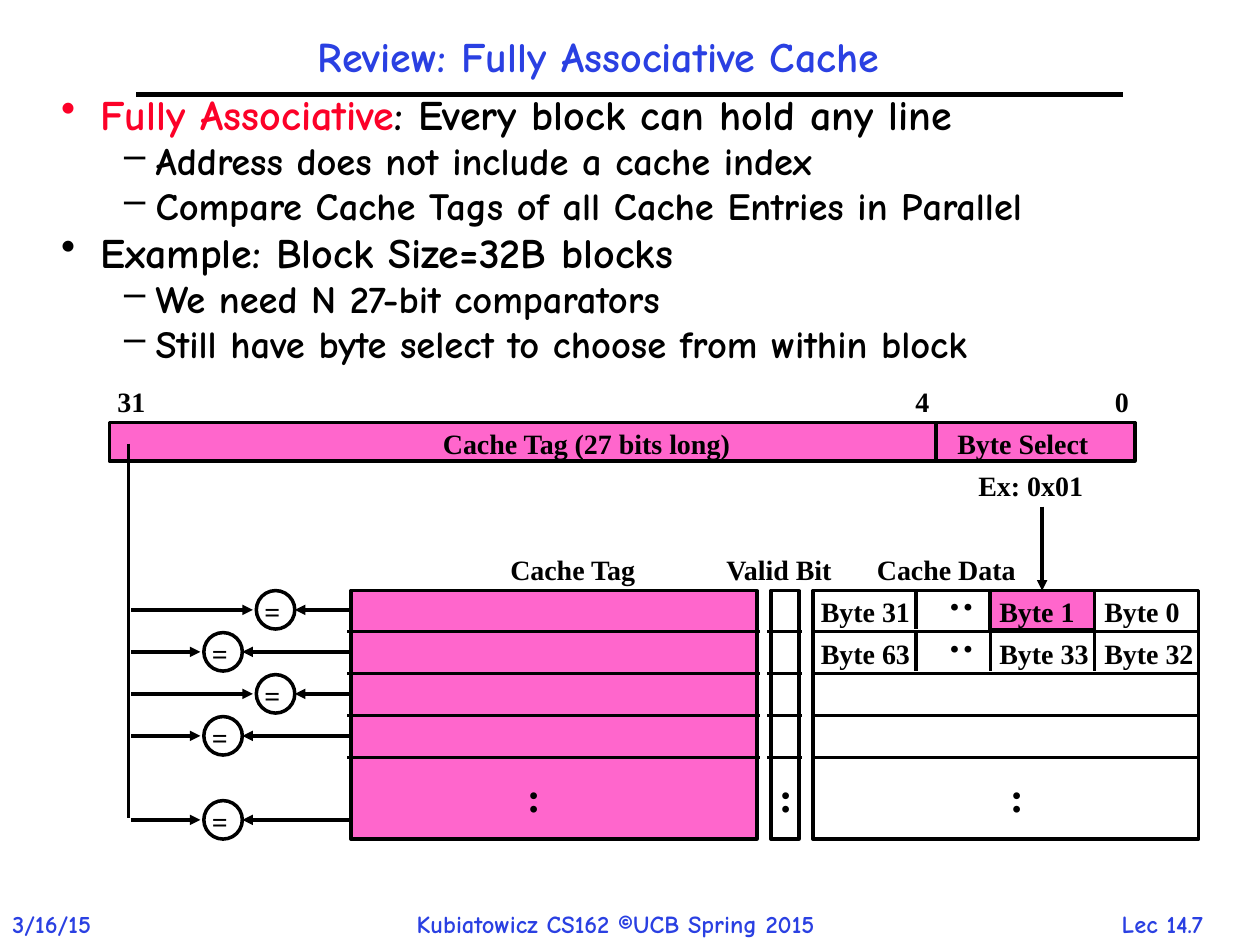
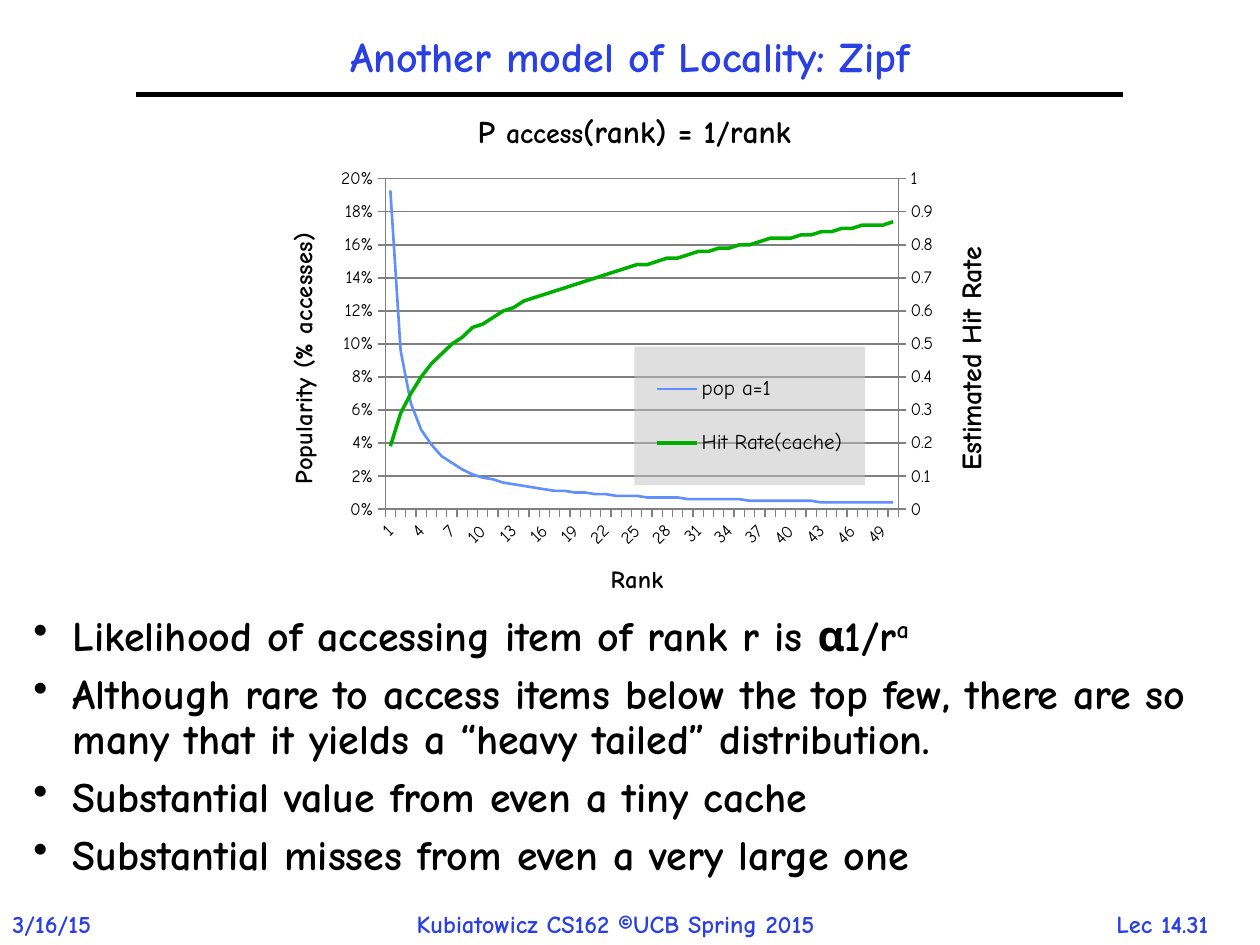
from copy import deepcopy
from dataclasses import dataclass
from itertools import accumulate

from lxml import etree
from pptx import Presentation
from pptx import util as u
from pptx.chart import axis as axes
from pptx.chart import data as chart_data
from pptx.dml.color import RGBColor
from pptx.enum import chart as charts
from pptx.enum import shapes, text
from pptx.oxml import parse_xml
from pptx.oxml.ns import nsdecls, qn

Pt = u.Pt


@dataclass(frozen=True)
class Theme:
    """Colours, fonts and type sizes of the deck."""
    blue: str = "2A40E2"
    red: str = "FC0128"
    pink: str = "FF66CC"
    black: str = "000000"
    grid: str = "808080"
    popularity: str = "618FFD"
    hit_rate: str = "00AE00"
    main_font: str = "Comic Neue"
    diagram_font: str = "Times New Roman"
    heading: int = 24
    sub: int = 22
    label: int = 16
    footer: int = 14
    ticks: int = 10
    legend: int = 12
    chart_title: int = 18


def apply(target, **values):
    for name, value in values.items():
        setattr(target, name, value)


def add_xml(parent, tag, **attributes):
    return etree.SubElement(parent, qn(tag), attributes)


def manual_layout(x, y, w, h, inner=False):
    layout = etree.Element(qn("c:layout"))
    manual = add_xml(layout, "c:manualLayout")
    if inner:
        add_xml(manual, "c:layoutTarget", val="inner")
    for side in "xy":
        add_xml(manual, f"c:{side}Mode", val="edge")
    for side, value in zip("xywh", (x, y, w, h)):
        add_xml(manual, f"c:{side}", val=str(value))
    return layout


class Painter:
    """Holds the theme and the current page; one method per kind of element."""

    def __init__(self, deck, theme):
        self.deck, self.theme, self.page = deck, theme, None

    def new_page(self, heading, center, number):
        t = self.theme
        self.page = self.deck.slides.add_slide(self.deck.slide_layouts[6])
        self.line(78, 54, 642, 54, width=3)
        footer = dict(size=t.footer, font=t.main_font, color=t.blue)
        self.label("3/16/15", 0, 516, 72, **footer)
        self.label("Kubiatowicz CS162 ©UCB Spring 2015", 231, 516, 279, **footer)
        self.label(number, 616.5, 516, 95.5, center=True, **footer)
        box = self.label(heading, center - 270, 17, 540, size=t.heading,
                         font=t.main_font, color=t.blue, center=True)
        box.text_frame.paragraphs[0].line_spacing = 0.9

    def style(self, font, size, color=None, name=None, bold=True):
        apply(font, size=Pt(size), name=name or self.theme.main_font, bold=bold)
        font.color.rgb = RGBColor.from_string(color or self.theme.black)

    def span(self, para, words, size, color=None, name=None):
        span = para.add_run()
        span.text = words
        self.style(span.font, size, color, name)
        return span

    def label(self, words, left, top, width, size=None, font=None, color=None,
              center=False, rotation=0):
        size = size or self.theme.label
        height = round(size * 1.2 + 7)
        box = self.page.shapes.add_textbox(Pt(left), Pt(top), Pt(width), Pt(height))
        box.rotation = rotation
        apply(box.text_frame, word_wrap=False,
              auto_size=text.MSO_AUTO_SIZE.SHAPE_TO_FIT_TEXT)
        para = box.text_frame.paragraphs[0]
        if center:
            para.alignment = text.PP_ALIGN.CENTER
        self.span(para, words, size, color, font or self.theme.diagram_font)
        return box

    def shape(self, left, top, width, height, fill=None,
              kind=shapes.MSO_SHAPE.RECTANGLE):
        box = self.page.shapes.add_shape(kind, Pt(left), Pt(top), Pt(width), Pt(height))
        box.shadow.inherit = False
        if fill:
            box.fill.solid()
            box.fill.fore_color.rgb = RGBColor.from_string(fill)
        else:
            box.fill.background()
        self.stroke(box.line, self.theme.black, 2)
        return box

    def stroke(self, line, color, width):
        line.width = Pt(width)
        line.color.rgb = RGBColor.from_string(color)

    def line(self, x1, y1, x2, y2, width=2, arrow=False):
        line = self.page.shapes.add_connector(
            shapes.MSO_CONNECTOR.STRAIGHT, Pt(x1), Pt(y1), Pt(x2), Pt(y2))
        self.stroke(line.line, self.theme.black, width)
        if arrow:
            add_xml(line.line._get_or_add_ln(), "a:tailEnd", type="triangle")
        add_xml(line._element.spPr, "a:effectLst")
        return line

    def bullets(self, items, left, top, width, height, spacing, before, insets):
        """Items are (level, [(words, color, raised), ...])."""
        box = self.page.shapes.add_textbox(Pt(left), Pt(top), Pt(width), Pt(height))
        frame = box.text_frame
        across, down = map(Pt, insets)
        apply(frame, word_wrap=True, margin_left=across, margin_right=across,
              margin_top=down, margin_bottom=down)
        # Level defaults keep each bullet in step with its text
        levels = frame._txBody.find(qn("a:lstStyle"))
        for number, size in enumerate((self.theme.heading, self.theme.sub), 1):
            default = add_xml(add_xml(levels, f"a:lvl{number}pPr"), "a:defRPr",
                              sz=str(size * 100), b="1")
            add_xml(default, "a:latin", typeface=self.theme.main_font)
        for i, (level, spans) in enumerate(items):
            para = frame.add_paragraph() if i else frame.paragraphs[0]
            size = self.theme.sub if level else self.theme.heading
            indent, hang, mark = ((54, 18, "–") if level else (22.5, 22.5, "•"))
            apply(para, level=level, line_spacing=spacing,
                  space_before=Pt(size * before if i else 0))
            props = para._p.get_or_add_pPr()
            props.set("marL", str(Pt(indent)))
            props.set("indent", str(-Pt(hang)))
            add_xml(props, "a:buChar", char=mark)
            for words, color, raised in spans:
                span = self.span(para, words, size, color)
                if raised:
                    span.font._element.set("baseline", "30000")

    def axis(self, axis, title, size, upright=False):
        apply(axis, has_title=True, major_tick_mark=charts.XL_TICK_MARK.OUTSIDE,
              minor_tick_mark=charts.XL_TICK_MARK.NONE)
        self.stroke(axis.format.line, self.theme.grid, 0.75)
        self.style(axis.tick_labels.font, self.theme.ticks, bold=False)
        frame = axis.axis_title.text_frame
        frame.clear()
        self.span(frame.paragraphs[0], title, size)
        if upright:
            frame._txBody.bodyPr.set("rot", "-5400000")

    def value_axis(self, axis, title, size, top, unit, number_format):
        self.axis(axis, title, size, upright=True)
        apply(axis, minimum_scale=0, maximum_scale=top, major_unit=unit)
        apply(axis.tick_labels, number_format=number_format,
              number_format_is_linked=False)

    def right_axis(self, chart):
        """Moves the last series to a second pair of axes; returns its value axis."""
        plot = chart.plots[0]._element
        second = deepcopy(plot)
        plot.remove(plot.findall(qn("c:ser"))[1])
        second.remove(second.findall(qn("c:ser"))[0])
        plot.addnext(second)
        ids = ("5001", "5002")
        for node, new_id in zip(second.findall(qn("c:axId")), ids):
            node.set("val", new_id)
        category = deepcopy(chart.category_axis._element)
        value = deepcopy(chart.value_axis._element)
        for node, own, other in ((category, *ids), (value, *ids[::-1])):
            node.find(qn("c:axId")).set("val", own)
            node.find(qn("c:crossAx")).set("val", other)
        chart.value_axis._element.addnext(value)
        value.addnext(category)
        value.find(qn("c:axPos")).set("val", "r")
        value.find(qn("c:crosses")).set("val", "max")
        apply(axes.CategoryAxis(category), has_title=False, visible=False)
        return axes.ValueAxis(value)

    def zipf_chart(self, left, top, width, height, categories, series):
        """Series are (name, values, color, line width)."""
        t = self.theme
        data = chart_data.CategoryChartData()
        data.categories = categories
        for name, values, _, _ in series:
            data.add_series(name, values)
        chart = self.page.shapes.add_chart(
            charts.XL_CHART_TYPE.LINE, Pt(left), Pt(top), Pt(width), Pt(height), data).chart
        self.style(chart.font, t.ticks, bold=False)
        chart.plots[0].vary_by_categories = False
        for line, (_, _, color, weight) in zip(chart.series, series):
            line.smooth = False
            line.marker.style = charts.XL_MARKER_STYLE.NONE
            self.stroke(line.format.line, color, weight)

        # Title
        chart.has_title = True
        para = chart.chart_title.text_frame.paragraphs[0]
        for words, size in (("P ", t.chart_title), ("access", t.label),
                            ("(rank) = 1/rank", t.chart_title)):
            self.span(para, words, size)

        # Axes
        ranks, values = chart.category_axis, chart.value_axis
        self.axis(ranks, "Rank", t.footer)
        ranks._element.txPr.bodyPr.set("rot", "-2700000")
        last = ranks._element.find(qn("c:noMultiLvlLbl"))
        for tag, step in (("c:tickLblSkip", 3), ("c:tickMarkSkip", 1)):
            node = etree.Element(qn(tag), val=str(step))
            last.addprevious(node)
        if values._element.find(qn("c:crossBetween")) is None:
            between = etree.Element(qn("c:crossBetween"), val="between")
            values._element.find(qn("c:crosses")).addnext(between)
        right = self.right_axis(chart)
        self.value_axis(values, "Popularity (% accesses)", t.footer, 0.2, 0.02, "0%")
        self.value_axis(right, "Estimated Hit Rate", t.label, 1, 0.1, "General")
        right.has_major_gridlines = False
        self.stroke(values.major_gridlines.format.line, t.grid, 0.75)

        # Plot area and legend
        area = chart._chartSpace.chart.plotArea
        for old in area.findall(qn("c:layout")):
            area.remove(old)
        area.insert(0, manual_layout(0.165, 0.165, 0.69, 0.62, inner=True))
        chart.has_legend = True
        apply(chart.legend, position=charts.XL_LEGEND_POSITION.RIGHT,
              include_in_layout=True)
        self.style(chart.legend.font, t.legend, bold=False)
        overlay = chart.legend._element.find(qn("c:overlay"))
        overlay.addprevious(manual_layout(0.5, 0.48, 0.31, 0.26))
        overlay.addnext(parse_xml(
            f'<c:spPr {nsdecls("c", "a")}><a:solidFill><a:srgbClr val="C0C0C0">'
            '<a:alpha val="50000"/></a:srgbClr></a:solidFill></c:spPr>'))


def cache_page(paint):
    t = paint.theme
    paint.new_page("Review: Fully Associative Cache", 342, "Lec 14.7")
    paint.bullets([
        (0, [("Fully Associative", t.red, False),
             (": Every block can hold any line", None, False)]),
        (1, [("Address does not include a cache index", None, False)]),
        (1, [("Compare Cache Tags of all Cache Entries in Parallel", None, False)]),
        (0, [("Example: Block Size=32B blocks", None, False)]),
        (1, [("We need N 27-bit comparators", None, False)]),
        (1, [("Still have byte select to choose from within block", None, False)]),
    ], 30, 53.5, 666, 190, spacing=0.8, before=0.2, insets=(5, 2.5))

    # Address fields
    paint.shape(62.5, 241.5, 472.5, 22, t.pink)
    paint.shape(535, 241.5, 113.5, 22, t.pink)
    for words, left, top, width in (
            ("31", 60, 216, 31.5), ("4", 516, 216, 23), ("0", 630, 216, 23),
            ("Cache Tag (27 bits long)", 246, 240, 182), ("Byte Select", 540, 240, 91),
            ("Ex: 0x01", 552, 264, 75), ("Cache Tag", 284.5, 312, 89),
            ("Valid Bit", 408, 312, 77), ("Cache Data", 494, 312, 95)):
        paint.label(words, left, top, width)

    # Cache columns: left, width, fill, overhang of the row lines, colon position
    top, pitch, height = 337.5, 24, 142
    for left, width, fill, overhang, colon in (
            (200.5, 232, t.pink, 2, 294), (440.5, 16, None, 2, 438),
            (464.5, 220.5, None, 0, 570)):
        paint.shape(left, top, width, height, fill)
        if colon == 570:
            selected = paint.shape(565.5, top, 60, 22.5, t.pink)
        for row in range(1, 5):
            y = top - 0.75 + row * pitch
            paint.line(left - overhang, y, left + width + overhang, y)
        paint.label(":", colon, 437, 22.5, size=t.heading)

    # Bytes in the first two blocks
    for row, names in enumerate((("Byte 31", "Byte 1", "Byte 0"),
                                 ("Byte 63", "Byte 33", "Byte 32"))):
        y = top + row * pitch
        for x in (523.5, 566, 625.5):
            paint.line(x, y, x, y + 22)
        for words, left in zip(names, (462, 564, 624)):
            paint.label(words, left, y - 1.5, 66 if len(words) > 6 else 58)
        paint.label(":", 534, y - 8.5, 22.5, size=t.heading, rotation=270)
    pointer = paint.line(595.5, 289.5, 595.5, top, arrow=True)
    pointer.end_connect(selected, 0)

    # Comparators
    bus, circle = 73.5, 22
    paint.line(bus, 253.5, bus, 467.5)
    for row, left in ((0, 146.5), (1, 116.5), (2, 146.5), (3, 116.5), (5, 116.5)):
        y = top + row * pitch
        middle = y + circle / 2
        paint.shape(left, y, circle, circle, kind=shapes.MSO_SHAPE.OVAL)
        paint.label("=", left - 2.5, y - 1.5, 24)
        paint.line(bus + 1.5, middle, left - 2, middle, arrow=True)
        paint.line(200.5, middle, left + circle, middle, arrow=True)


def zipf_page(paint):
    t = paint.theme
    paint.new_page("Another model of Locality: Zipf", 360, "Lec 14.31")

    # Popularity falls as 1/rank; hit rate is its running total
    ranks = range(1, 51)
    shares = [0.1928 / rank for rank in ranks]
    paint.zipf_chart(150, 52, 425, 304.5, [str(rank) for rank in ranks], [
        ("pop a=1", [round(share, 3) for share in shares], t.popularity, 1.5),
        ("Hit Rate(cache)", [round(total, 2) for total in accumulate(shares)],
         t.hit_rate, 2),
    ])

    paint.bullets([
        (0, [("Likelihood of accessing item of rank r is α1/r", None, False),
             ("a", None, True)]),
        (0, [("Although rare to access items below the top few, there are so many "
              "that it yields a “heavy tailed” distribution.", None, False)]),
        (0, [("Substantial value from even a tiny cache", None, False)]),
        (0, [("Substantial misses from even a very large one", None, False)]),
    ], 12, 348, 714, 134, spacing=0.9, before=0.3, insets=(7.2, 3.6))


def main():
    deck = Presentation()
    apply(deck, slide_width=Pt(720), slide_height=Pt(540))
    paint = Painter(deck, Theme())
    cache_page(paint)
    zipf_page(paint)
    deck.save("out.pptx")


if __name__ == "__main__":
    main()
